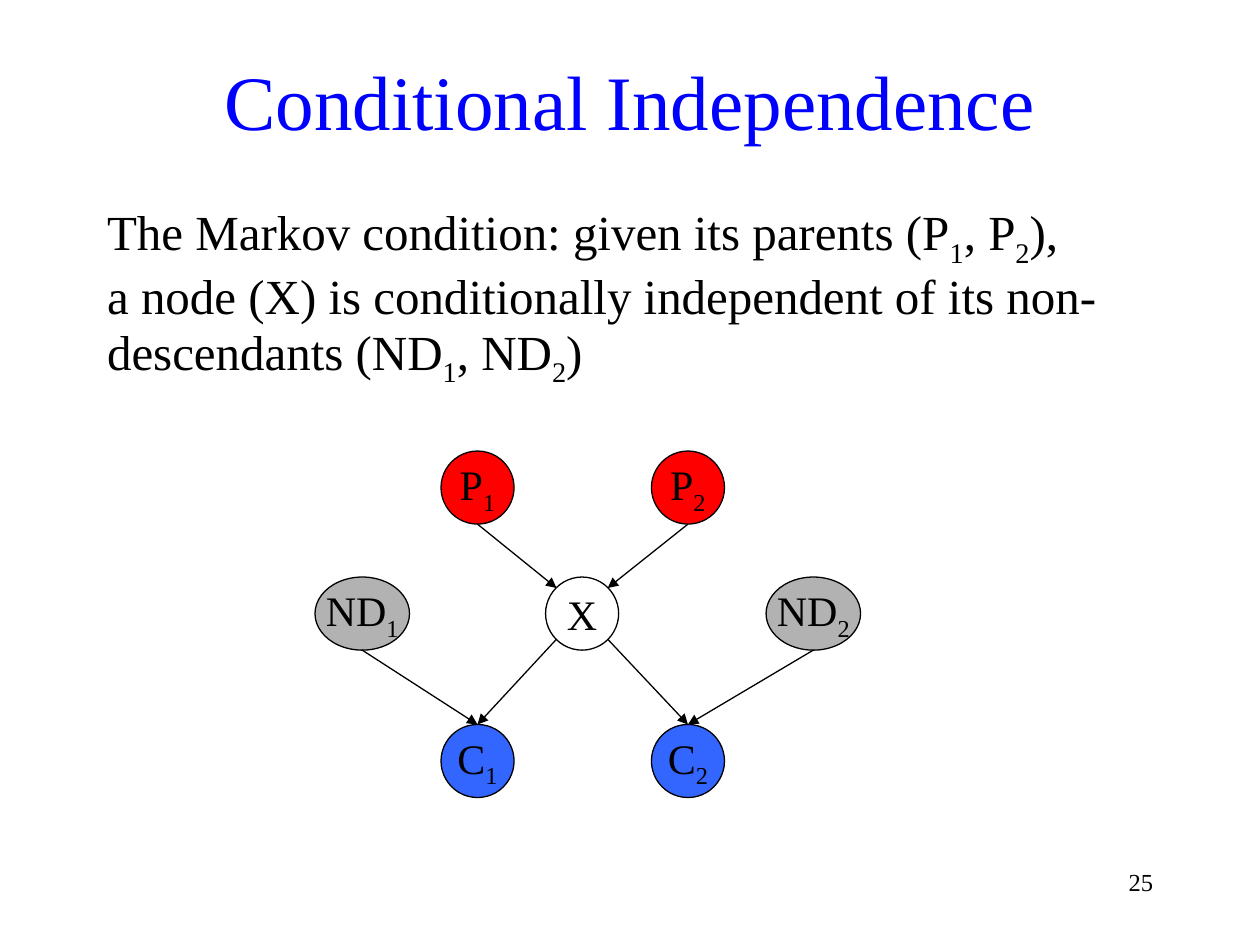
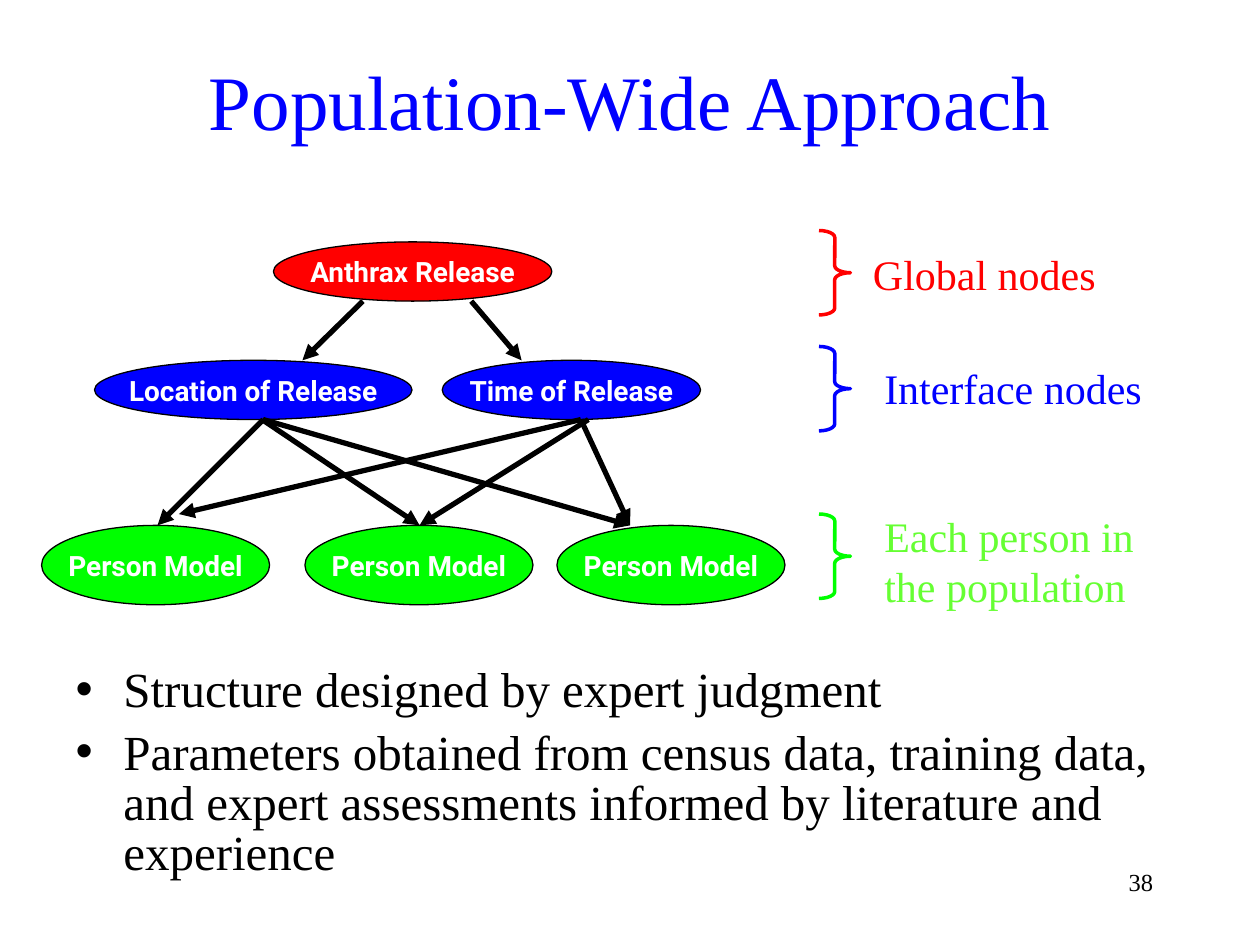
from lxml.etree import SubElement
from pptx import Presentation
from pptx.dml.color import RGBColor
from pptx.enum.shapes import MSO_CONNECTOR, MSO_SHAPE
from pptx.enum.text import MSO_ANCHOR, MSO_AUTO_SIZE, PP_ALIGN
from pptx.oxml.ns import qn
from pptx.util import Inches, Pt

BLACK = RGBColor(0x00, 0x00, 0x00)
WHITE = RGBColor(0xFF, 0xFF, 0xFF)
BLUE = RGBColor(0x00, 0x00, 0xFF)
RED = RGBColor(0xFF, 0x00, 0x00)
GREEN = RGBColor(0x00, 0xFF, 0x00)
LIME = RGBColor(0x66, 0xFF, 0x33)
SKY = RGBColor(0x33, 0x66, 0xFF)
GRAY = RGBColor(0xB2, 0xB2, 0xB2)
SERIF = "Times New Roman"
SANS = "Roboto"


def place(shape, left, top, width, height):
    shape.left, shape.top = Inches(left), Inches(top)
    shape.width, shape.height = Inches(width), Inches(height)


def write(paragraph, text, size, color, font=SERIF, bold=False, align=PP_ALIGN.LEFT):
    """Write text in one style; the character after each _ is a subscript."""
    paragraph.alignment = align
    paragraph.font.name, paragraph.font.size = font, Pt(size)
    paragraph.font.bold, paragraph.font.color.rgb = bold, color
    first, *rest = text.split("_")
    paragraph.add_run().text = first
    for piece in rest:
        subscript = paragraph.add_run()
        subscript.text = piece[0]
        subscript._r.get_or_add_rPr().set("baseline", "-25000")
        if piece[1:]:
            paragraph.add_run().text = piece[1:]


def add_label(slide, text, box, size, color, align=PP_ALIGN.LEFT):
    label = slide.shapes.add_textbox(*map(Inches, box))
    label.text_frame.word_wrap = True
    write(label.text_frame.paragraphs[0], text, size, color, align=align)


def add_node(slide, text, box, fill, **style):
    node = slide.shapes.add_shape(MSO_SHAPE.OVAL, *map(Inches, box))
    node.shadow.inherit = False
    if fill is None:
        node.fill.background()
    else:
        node.fill.solid()
        node.fill.fore_color.rgb = fill
    node.line.color.rgb, node.line.width = BLACK, Pt(0.75)
    frame = node.text_frame
    frame.word_wrap, frame.vertical_anchor = False, MSO_ANCHOR.MIDDLE
    write(frame.paragraphs[0], text, align=PP_ALIGN.CENTER, **style)


def add_arrow(slide, start, end, width):
    arrow = slide.shapes.add_connector(
        MSO_CONNECTOR.STRAIGHT, *map(Inches, (*start, *end)))
    arrow.line.color.rgb, arrow.line.width = BLACK, Pt(width)
    properties = arrow._element.spPr
    SubElement(properties.find(qn("a:ln")), qn("a:tailEnd"), type="triangle")
    SubElement(properties, qn("a:effectLst"))


def add_slide(presentation, title, number):
    """Start a slide with the shared title and page number."""
    slide = presentation.slides.add_slide(presentation.slide_layouts[1])
    heading = slide.shapes.title
    place(heading, 0.75, 0.17, 8.5, 1.25)
    heading.text_frame.vertical_anchor = MSO_ANCHOR.MIDDLE
    heading.text_frame.auto_size = MSO_AUTO_SIZE.NONE
    write(heading.text_frame.paragraphs[0], title, 44, BLUE, align=PP_ALIGN.CENTER)
    add_label(slide, number, (8.17, 6.83, 1.08, 0.5), 14, BLACK, PP_ALIGN.RIGHT)
    return slide


def fill_body(slide, box, lines, bulleted):
    body = slide.placeholders[1]
    place(body, *box)
    frame = body.text_frame
    frame.auto_size, frame.vertical_anchor = MSO_AUTO_SIZE.NONE, MSO_ANCHOR.TOP
    indent = Inches(0.38) if bulleted else 0
    for index, line in enumerate(lines):
        paragraph = frame.add_paragraph() if index else frame.paragraphs[0]
        paragraph.line_spacing, paragraph.space_before = 0.85, Pt(7)
        write(paragraph, line, 28, BLACK)
        properties = paragraph._p.get_or_add_pPr()
        properties.set("marL", str(indent))
        properties.set("indent", str(-indent))
        if not bulleted:
            properties.insert_element_before(
                properties.makeelement(qn("a:buNone")), "a:tabLst", "a:defRPr")


def draw_markov_graph(slide, left, top):
    size = 0.58
    nodes = {  # text: (x, y, width, fill)
        "X": (1.83, 1, size, None),
        "P_1": (1, 0, size, RED), "P_2": (2.67, 0, size, RED),
        "C_1": (1, 2.17, size, SKY), "C_2": (2.67, 2.17, size, SKY),
        "ND_1": (0, 1, 0.75, GRAY), "ND_2": (3.58, 1, 0.75, GRAY),
    }
    for text, (x, y, width, fill) in nodes.items():
        add_node(slide, text, (left + x, top + y, width, size), fill,
                 size=24, color=BLACK)

    def point(name, across, down):
        x, y, width, _ = nodes[name]
        return left + x + across * width, top + y + down * size

    # Arrows meet X on its diagonals and the others at top or bottom
    near, far = 0.15, 0.85
    for index, side in (("1", near), ("2", far)):
        child = point("C_" + index, 0.5, 0)
        add_arrow(slide, point("P_" + index, 0.5, 1), point("X", side, near), 0.75)
        add_arrow(slide, point("X", side, far), child, 0.75)
        add_arrow(slide, point("ND_" + index, 0.5, 1), child, 0.75)


def draw_population_network(slide, left, top):
    release, interface, person = 0, 0.94, 2.25
    nodes = [  # text, x, y, width, height, fill
        ("Anthrax Release", 1.84, release, 2.21, 0.47, RED),
        ("Location of Release", 0.42, interface, 2.52, 0.47, BLUE),
        ("Time of Release", 3.18, interface, 2.05, 0.47, BLUE),
    ] + [("Person Model", x, person, 1.81, 0.63, GREEN) for x in (0, 2.09, 4.09)]
    for text, x, y, width, height, fill in nodes:
        add_node(slide, text, (left + x, top + y, width, height), fill,
                 size=16, color=WHITE, font=SANS, bold=True)

    release_bottom, interface_bottom = release + 0.47, interface + 0.47
    arrows = [  # start x, start y, end x, end y
        (2.55, release_bottom, 2.07, interface),
        (3.41, release_bottom, 3.81, interface),
        (1.76, interface_bottom, 0.92, person),
        (1.75, interface_bottom, 3, person),
        (1.76, interface_bottom, 4.67, person),
        (4.28, interface_bottom, 1.09, person - 0.09),
        (4.34, interface_bottom, 3, person),
        (4.28, interface_bottom, 4.67, person),
    ]
    for x1, y1, x2, y2 in arrows:
        add_arrow(slide, (left + x1, top + y1), (left + x2, top + y2), 3)


def draw_level_key(slide, left, top):
    levels = [  # text, brace y, brace color, text color, text x, y, width, height
        ("Global nodes", 0, RED, RED, 0.33, 0.09, 2, 0.5),
        ("Interface nodes", 0.92, BLUE, BLUE, 0.42, 1, 2.5, 0.5),
        ("Each person in the population", 2.25, GREEN, LIME, 0.42, 2.17, 2.5, 0.9),
    ]
    for text, brace_y, brace_color, text_color, x, y, width, height in levels:
        brace = slide.shapes.add_shape(
            MSO_SHAPE.RIGHT_BRACE, Inches(left), Inches(top + brace_y),
            Inches(0.25), Inches(0.67))
        brace.adjustments[0] = 0.22
        brace.shadow.inherit = False
        brace.fill.background()
        brace.line.color.rgb, brace.line.width = brace_color, Pt(2)
        add_label(slide, text, (left + x, top + y, width, height), 24, text_color)


def main():
    presentation = Presentation()
    presentation.slide_width, presentation.slide_height = Inches(10), Inches(7.5)

    # Markov condition
    slide = add_slide(presentation, "Conditional Independence", "25")
    fill_body(slide, (0.75, 1.58, 8.58, 1.5), [
        "The Markov condition: given its parents (P_1, P_2),",
        "a node (X) is conditionally independent of its non-descendants (ND_1, ND_2)",
    ], bulleted=False)
    draw_markov_graph(slide, 2.5, 3.58)

    # Population model
    slide = add_slide(presentation, "Population-Wide Approach", "38")
    fill_body(slide, (0.5, 5.25, 9, 1.7), [
        "Structure designed by expert judgment",
        "Parameters obtained from census data, training data, "
        "and expert assessments informed by literature and experience",
    ], bulleted=True)
    draw_population_network(slide, 0.33, 1.92)
    draw_level_key(slide, 6.5, 1.83)

    presentation.save("out.pptx")


if __name__ == "__main__":
    main()
